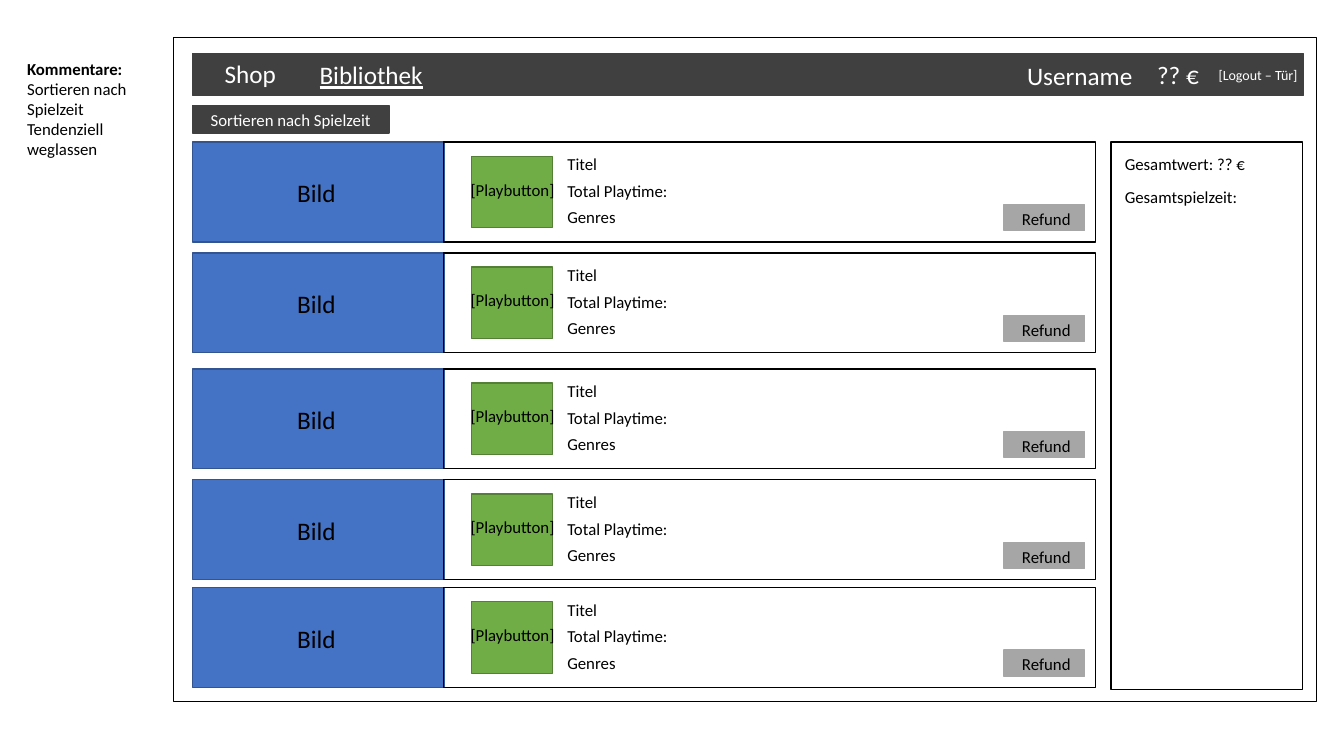
from pptx import Presentation
from pptx.dml.color import RGBColor
from pptx.enum.shapes import MSO_SHAPE
from pptx.enum.text import MSO_ANCHOR, MSO_AUTO_SIZE, PP_ALIGN
from pptx.util import Inches, Pt

# Grid: one column or row is a tenth of an inch
COLUMNS, ROWS = 133.33, 75
BLACK, WHITE, DARK, GREY = "000000", "FFFFFF", "404040", "A6A6A6"


def colour(hex_code):
    return RGBColor.from_string(hex_code)


def write(frame, text, size=12, color=BLACK, underline=None, bold_lines=0,
          align=PP_ALIGN.LEFT, anchor=MSO_ANCHOR.TOP, wrap=True, grow=True):
    frame.text = text
    frame.word_wrap = wrap
    frame.vertical_anchor = anchor
    frame.auto_size = MSO_AUTO_SIZE.SHAPE_TO_FIT_TEXT if grow else MSO_AUTO_SIZE.NONE
    for number, paragraph in enumerate(frame.paragraphs):
        paragraph.alignment = align
        font = paragraph.runs[0].font
        font.name, font.size = "Calibri", Pt(size)
        font.bold = number < bold_lines
        font.underline = underline
        font.color.rgb = colour(color)


class Wireframe:
    def __init__(self, deck):
        self.slide = deck.slides.add_slide(deck.slide_layouts[5])
        self.column = deck.slide_width / COLUMNS
        self.row = deck.slide_height / ROWS

    def place(self, left, top, width, height):
        return (round(left * self.column), round(top * self.row),
                round(width * self.column), round(height * self.row))

    def box(self, *area, fill=None, line=BLACK):
        rectangle = self.slide.shapes.add_shape(MSO_SHAPE.RECTANGLE, *self.place(*area))
        rectangle.shadow.inherit = False
        if fill:
            rectangle.fill.solid()
            rectangle.fill.fore_color.rgb = colour(fill)
        else:
            rectangle.fill.background()
        rectangle.line.color.rgb = colour(line)
        rectangle.line.width = Pt(1)
        return rectangle

    def label(self, text, *area, **style):
        caption = self.slide.shapes.add_textbox(*self.place(*area))
        write(caption.text_frame, text, **style)

    def title(self, text, *area, above, **style):
        heading = self.slide.shapes.title
        heading.left, heading.top, heading.width, heading.height = self.place(*area)
        write(heading.text_frame, text, **style)
        above._element.addnext(heading._element)

    def game(self, top):
        self.box(19.1, top, 25, 9.9, fill="4472C4", line="325491")
        self.label("Bild", 28.5, top + 3, 6.1, 4, size=18)
        self.box(44, top, 64.7, 9.9)
        for number, detail in enumerate(("Titel", "Total Playtime:", "Genres")):
            self.label(detail, 55.3, top + 0.7 + 2.63 * number, 43.6, 3)
        self.box(99.6, top + 6.2, 8, 2.6, fill=GREY, line=GREY)
        self.label("Refund", 100.4, top + 6.1, 7.1, 3)
        self.box(46.8, top + 1.4, 8, 7.1, fill="70AD47", line="538035")
        self.label("[Playbutton]", 45.7, top + 3.2, 11.3, 3)


def main():
    deck = Presentation()
    deck.slide_width, deck.slide_height = Inches(13.33), Inches(7.5)
    library = Wireframe(deck)

    # Navigation bar
    navigation = library.box(19.1, 5.3, 110.2, 4.2, fill=DARK, line=DARK)
    library.title("Bibliothek", 30.7, 5.4, 13.3, 4, above=navigation,
                  size=18, color=WHITE, underline=True)
    library.label("Shop", 21.3, 5.3, 7.2, 4, size=18, color=WHITE)
    library.label("Username", 100.9, 5.5, 13.3, 4, size=18, color=WHITE)
    library.label("?? €", 113.8, 5.4, 6.5, 4, size=18, color=WHITE)
    library.label("[Logout – Tür]", 119.9, 6.1, 10.9, 2.7, size=10, color=WHITE)

    # Sort button
    sorting = library.box(19.1, 10.5, 19.5, 2.7, fill=DARK, line=DARK)
    write(sorting.text_frame, "Sortieren nach Spielzeit", color=WHITE,
          align=PP_ALIGN.CENTER, anchor=MSO_ANCHOR.MIDDLE, grow=False)

    # Game list
    for top in (14.1, 25.1, 36.6, 47.6, 58.3):
        library.game(top)

    # Totals
    library.box(110.2, 14.1, 19, 54.3)
    library.label("Gesamtwert: ?? €", 110.6, 14.8, 16.8, 3)
    library.label("Gesamtspielzeit:", 110.6, 18, 16.8, 3)

    # Page frame and comments
    library.box(17.2, 3.7, 113.4, 65.9)
    library.label("Kommentare:\nSortieren nach\nSpielzeit\nTendenziell\nweglassen",
                  1.7, 5.3, 12, 11.1, bold_lines=1, wrap=False)

    deck.save("out.pptx")


if __name__ == "__main__":
    main()
